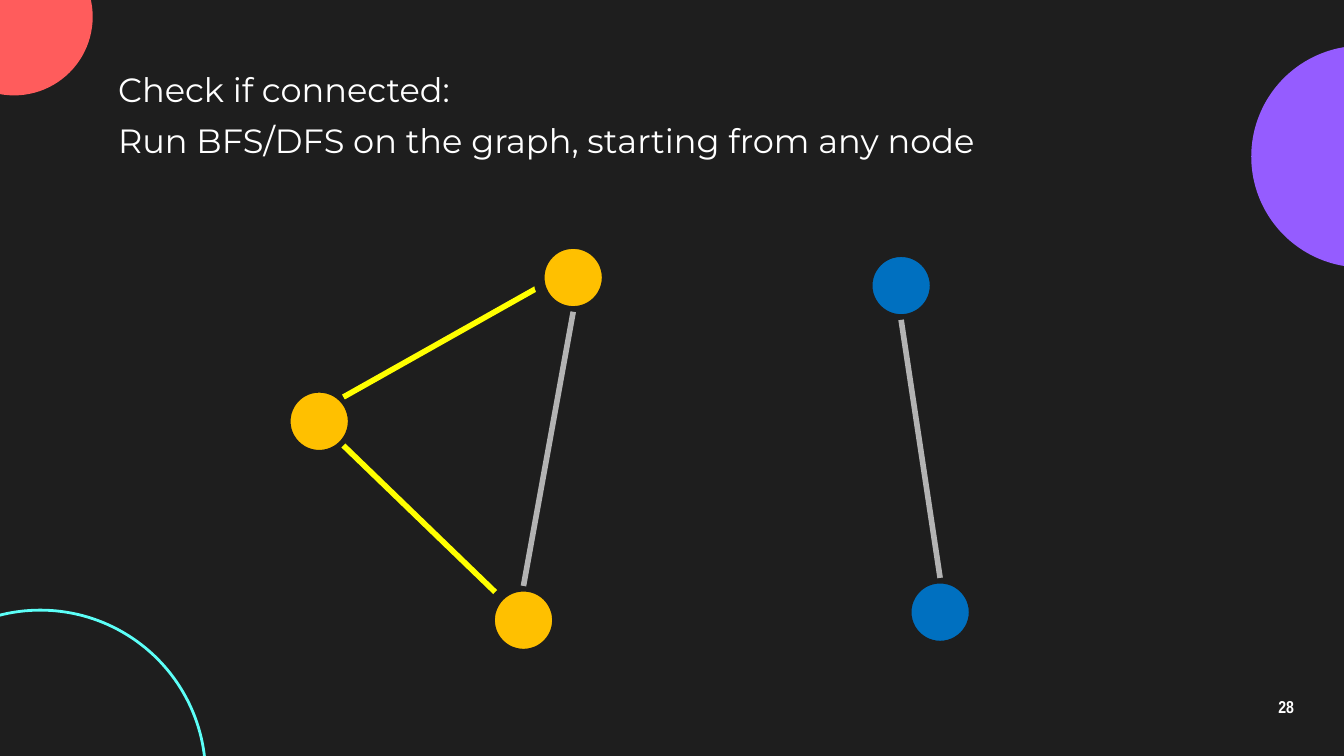
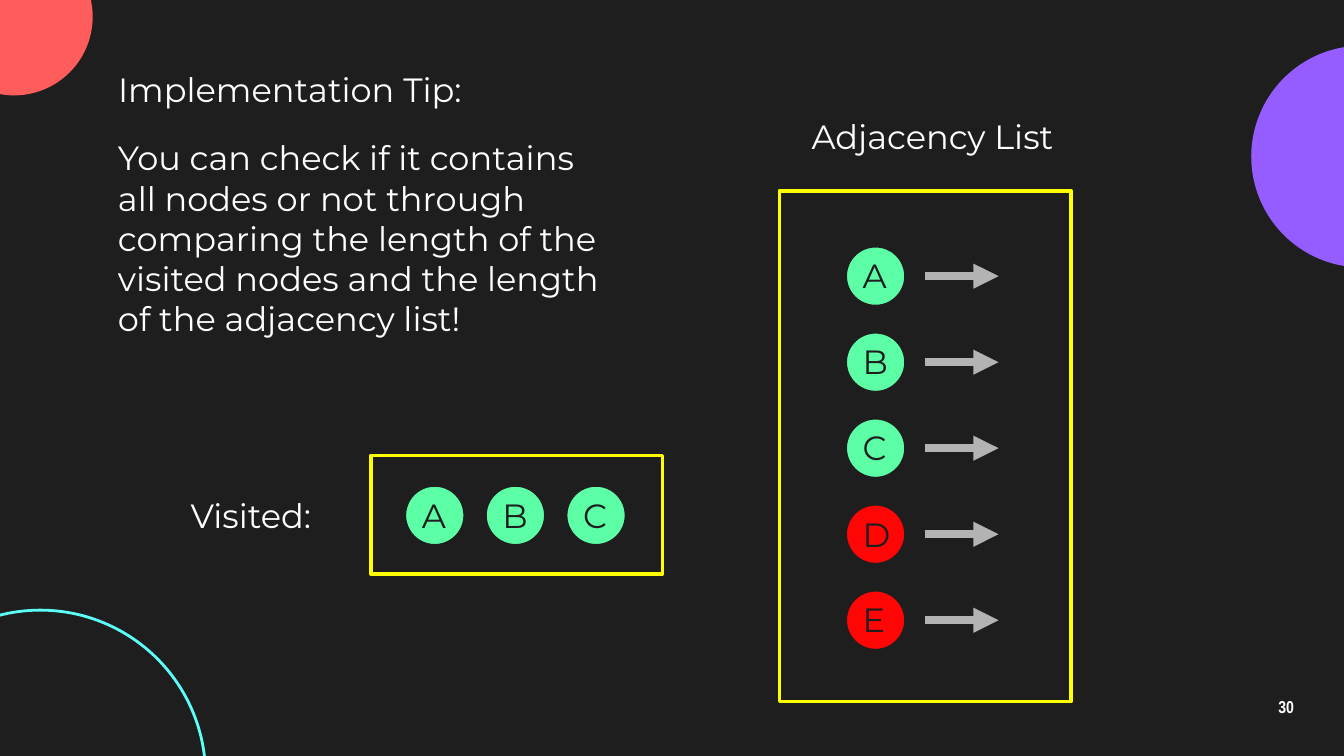
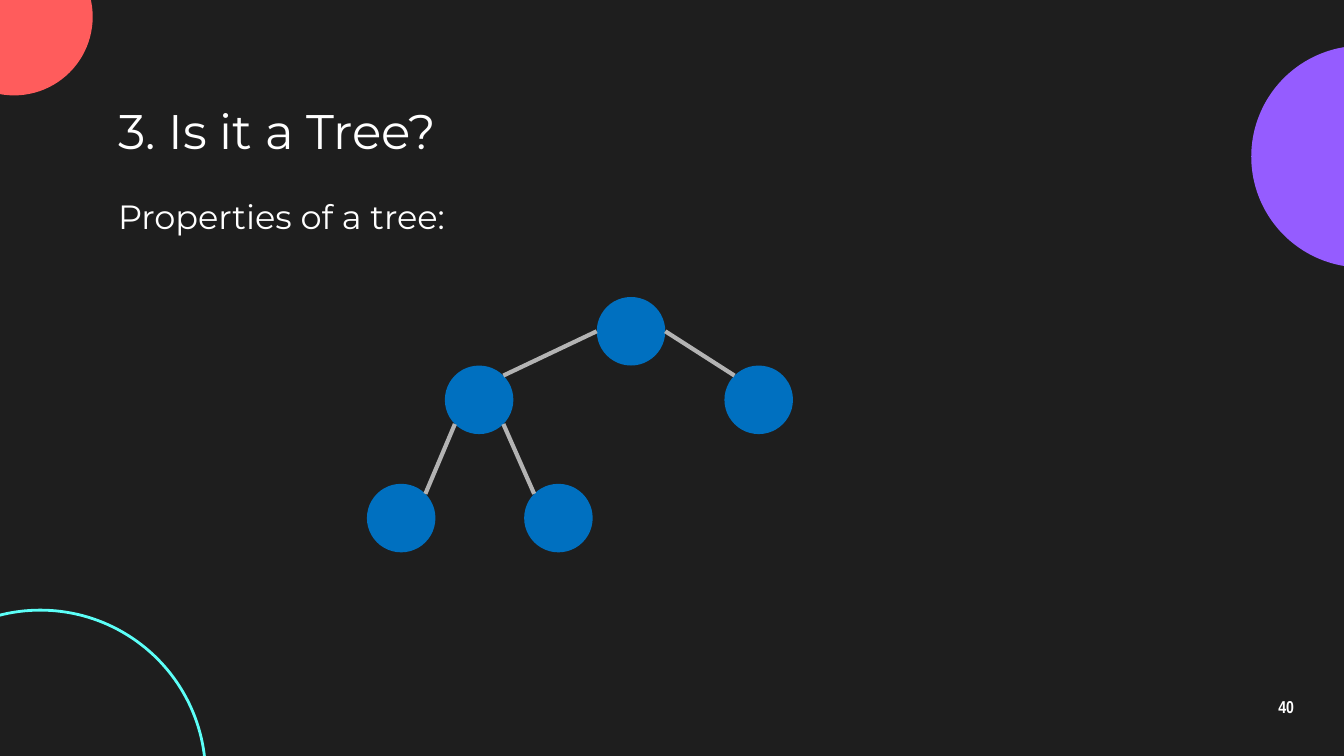
import math

import pptx
import pptx.dml.color
import pptx.enum.shapes
import pptx.enum.text
import pptx.oxml
import pptx.oxml.ns
import pptx.util

Inches = pptx.util.Inches
Pt = pptx.util.Pt
RGBColor = pptx.dml.color.RGBColor
MSO_SHAPE = pptx.enum.shapes.MSO_SHAPE
MSO_ANCHOR = pptx.enum.text.MSO_ANCHOR
PP_ALIGN = pptx.enum.text.PP_ALIGN

DARK = RGBColor(0x1E, 0x1E, 0x1E)
WHITE = RGBColor(0xFF, 0xFF, 0xFF)
PURPLE = RGBColor(0x95, 0x5C, 0xFF)
CORAL = RGBColor(0xFF, 0x5C, 0x5C)
CYAN = RGBColor(0x5C, 0xFF, 0xF8)
AMBER = RGBColor(0xFF, 0xC0, 0x00)
BLUE = RGBColor(0x00, 0x70, 0xC0)
YELLOW = RGBColor(0xFF, 0xFF, 0x00)
GREY = RGBColor(0xB3, 0xB3, 0xB3)
GREEN = RGBColor(0x5C, 0xFF, 0xA6)
RED = RGBColor(0xFF, 0x05, 0x05)

BODY_FONT = "Montserrat"
NUMBER_FONT = "Arial Narrow"
NODE = 0.51
LINE_H = 0.51
LEFT = 0.78
WIDE = 7.92
NARROW = 3.84

# Angles at which edges meet a node, in degrees clockwise from the right
RIGHT_SIDE, LOWER_RIGHT, BOTTOM, LOWER_LEFT = 0, 45, 90, 135
LEFT_SIDE, UPPER_LEFT, TOP, UPPER_RIGHT = 180, 225, 270, 315

# Slide 1: node name -> (left, top, colour); edge -> (node, angle, node, angle)
START_NODE = {"start": (2.12, 2.88, AMBER)}
OTHER_NODES = {
    "upper": (4.01, 1.81, AMBER),
    "lower": (3.64, 4.36, AMBER),
    "far upper": (6.45, 1.87, BLUE),
    "far lower": (6.74, 4.3, BLUE),
}
SEARCH_EDGES = [
    ("start", UPPER_RIGHT, "upper", 165),
    ("lower", UPPER_LEFT, "start", LOWER_RIGHT),
]
UNUSED_EDGES = [
    ("far upper", BOTTOM, "far lower", TOP),
    ("lower", TOP, "upper", BOTTOM),
]

# Slide 2
TIP = ("You can check if it contains all nodes or not through comparing the "
       "length of the visited nodes and the length of the adjacency list!")
VISITED = "ABC"
ALL_NODES = "ABCDE"
VISITED_LEFT, VISITED_TOP, VISITED_STEP = 2.98, 3.58, 0.6
LIST_LEFT, LIST_TOP, LIST_STEP = 6.26, 1.8, 0.64
ARROW_LEFT, ARROW_LENGTH = 6.88, 0.55

# Slide 3
TREE_NODES = {
    "root": (4.44, 2.21, BLUE),
    "left": (3.31, 2.72, BLUE),
    "left leaf": (2.73, 3.6, BLUE),
    "right leaf": (3.9, 3.6, BLUE),
    "right": (5.39, 2.72, BLUE),
}
TREE_EDGES = [
    ("left leaf", UPPER_RIGHT, "left", LOWER_LEFT),
    ("left", UPPER_RIGHT, "root", LEFT_SIDE),
    ("root", RIGHT_SIDE, "right", UPPER_LEFT),
    ("right leaf", UPPER_LEFT, "left", LOWER_RIGHT),
]


def add_text(s, text, x, y, w, h=LINE_H, size=18, font=BODY_FONT, color=WHITE,
             bold=False, align=None, anchor=MSO_ANCHOR.TOP, spacing=None):
    tf = s.shapes.add_textbox(Inches(x), Inches(y), Inches(w), Inches(h)).text_frame
    tf.word_wrap = True
    tf.vertical_anchor = anchor
    tf.margin_left = tf.margin_right = tf.margin_top = tf.margin_bottom = Inches(0.1)
    p = tf.paragraphs[0]
    p.alignment = align
    p.line_spacing = spacing
    r = p.add_run()
    r.text = text
    r.font.size = Pt(size)
    r.font.name = font
    r.font.bold = bold
    r.font.color.rgb = color


def add_shape(s, kind, x, y, w, h, fill=None, line=None, weight=0):
    sp = s.shapes.add_shape(kind, Inches(x), Inches(y), Inches(w), Inches(h))
    sp.shadow.inherit = False
    if fill is None:
        sp.fill.background()
    else:
        sp.fill.solid()
        sp.fill.fore_color.rgb = fill
    if line is None:
        sp.line.fill.background()
    else:
        sp.line.color.rgb = line
        sp.line.width = Pt(weight)


def add_line(s, start, end, color, weight, arrow=False):
    ends = [Inches(v) for v in (*start, *end)]
    c = s.shapes.add_connector(pptx.enum.shapes.MSO_CONNECTOR.STRAIGHT, *ends)
    c.line.color.rgb = color
    c.line.width = Pt(weight)
    if arrow:
        head = pptx.oxml.parse_xml(
            f'<a:tailEnd {pptx.oxml.ns.nsdecls("a")} type="triangle"/>')
        c.line._get_or_add_ln().append(head)
    c._element.spPr.append(pptx.oxml.parse_xml(
        f'<a:effectLst {pptx.oxml.ns.nsdecls("a")}/>'))


def add_nodes(s, nodes, outline=None):
    for x, y, color in nodes.values():
        add_shape(s, MSO_SHAPE.OVAL, x, y, NODE, NODE, color, outline, 6)


def rim_point(node, angle):
    x, y, _ = node
    r, a = NODE / 2, math.radians(angle)
    return x + r + r * math.cos(a), y + r + r * math.sin(a)


def add_edges(s, nodes, edges, color, weight):
    for a, a_angle, b, b_angle in edges:
        add_line(s, rim_point(nodes[a], a_angle), rim_point(nodes[b], b_angle),
                 color, weight)


def add_lettered_node(s, letter, x, y):
    color = GREEN if letter in VISITED else RED
    add_nodes(s, {letter: (x, y, color)}, DARK)
    add_text(s, letter, x + 0.06, y, 0.41, color=DARK)


def new_slide(prs, number):
    """Add a slide with the corner circles and the page number."""
    s = prs.slides.add_slide(prs.slide_layouts[6])
    s.background.fill.solid()
    s.background.fill.fore_color.rgb = DARK
    add_shape(s, MSO_SHAPE.OVAL, 9.31, 0.34, 1.65, 1.65, PURPLE)
    add_shape(s, MSO_SHAPE.OVAL, -0.48, -0.46, 1.17, 1.17, CORAL)
    add_shape(s, MSO_SHAPE.OVAL, -0.93, 4.54, 2.46, 2.46, line=CYAN, weight=1.5)
    add_text(s, str(number), 9.27, 5.1, 0.6, 0.34, size=9.2, font=NUMBER_FONT,
             bold=True, align=PP_ALIGN.CENTER, anchor=MSO_ANCHOR.MIDDLE, spacing=0.9)
    return s


def connected_slide(prs):
    s = new_slide(prs, 28)
    nodes = {**START_NODE, **OTHER_NODES}
    add_nodes(s, START_NODE, DARK)
    add_edges(s, nodes, SEARCH_EDGES, YELLOW, 3)
    add_nodes(s, OTHER_NODES, DARK)
    add_edges(s, nodes, UNUSED_EDGES, GREY, 3)
    add_text(s, "Check if connected:", LEFT, 0.41, WIDE)
    add_text(s, "Run BFS/DFS on the graph, starting from any node", LEFT, 0.79, WIDE)


def tip_slide(prs):
    s = new_slide(prs, 30)
    add_text(s, "Implementation Tip:", LEFT, 0.41, WIDE)
    add_text(s, TIP, LEFT, 0.92, NARROW)

    add_text(s, "Visited:", 1.32, VISITED_TOP, NARROW)
    add_shape(s, MSO_SHAPE.RECTANGLE, 2.76, 3.39, 2.17, 0.88, line=YELLOW, weight=2)
    for i, letter in enumerate(VISITED):
        add_lettered_node(s, letter, VISITED_LEFT + i * VISITED_STEP, VISITED_TOP)

    add_text(s, "Adjacency List", 5.94, 0.76, NARROW)
    add_shape(s, MSO_SHAPE.RECTANGLE, 5.8, 1.42, 2.17, 3.8, line=YELLOW, weight=2)
    for i, letter in enumerate(ALL_NODES):
        y = LIST_TOP + i * LIST_STEP
        add_lettered_node(s, letter, LIST_LEFT, y)
        mid = y + NODE / 2
        add_line(s, (ARROW_LEFT, mid), (ARROW_LEFT + ARROW_LENGTH, mid),
                 GREY, 4.5, arrow=True)


def tree_slide(prs):
    s = new_slide(prs, 40)
    add_text(s, "3. Is it a Tree?", LEFT, 0.71, 8.72, size=26,
             anchor=MSO_ANCHOR.MIDDLE)
    add_text(s, "Properties of a tree:", LEFT, 1.36, WIDE)
    add_nodes(s, TREE_NODES)
    add_edges(s, TREE_NODES, TREE_EDGES, GREY, 2.25)


def main():
    prs = pptx.Presentation()
    prs.slide_width = Inches(10)
    prs.slide_height = Inches(10 * 9 / 16)
    connected_slide(prs)
    tip_slide(prs)
    tree_slide(prs)
    prs.save("out.pptx")


if __name__ == "__main__":
    main()
